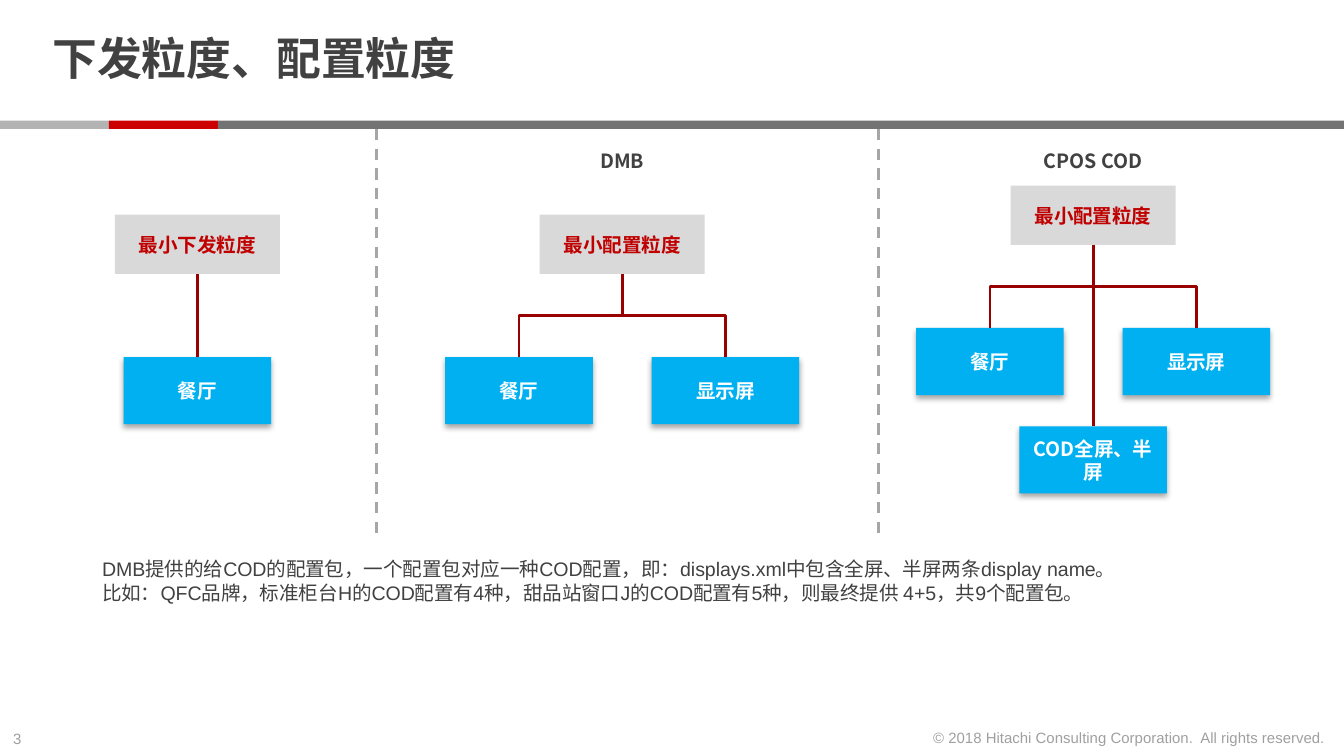
"""Build the slide on delivery and configuration granularity."""
import pptx
import pptx.util
import pptx.dml.color
import pptx.enum.dml
import pptx.enum.shapes
import pptx.enum.text
import pptx.oxml
import pptx.oxml.ns

Cm, Pt = pptx.util.Cm, pptx.util.Pt
qn = pptx.oxml.ns.qn
ALIGN = pptx.enum.text.PP_ALIGN
ANCHOR = pptx.enum.text.MSO_ANCHOR
KIND = pptx.enum.shapes.MSO_CONNECTOR
NS = 'xmlns:a="http://schemas.openxmlformats.org/drawingml/2006/main"'
CJK = "Noto Sans CJK SC"
INK, RED, GREY, BLUE = "414141", "990000", "D9D9D9", "00B0F0"

TITLE = "下发粒度、配置粒度"
NOTES = [
    "DMB提供的给COD的配置包，一个配置包对应一种COD配置，即：displays.xml中包含全屏、半屏两条display name。",
    "比如：QFC品牌，标准柜台H的COD配置有4种，甜品站窗口J的COD配置有5种，则最终提供 4+5，共9个配置包。",
]
RIGHTS = "© 2018 Hitachi Consulting Corporation.  All rights reserved."
BARS = [(0, 2.06, "B3B3B3"), (2.06, 2.06, "CC0000"), (4.12, 21.28, "737373")]
RULES = [7.11, 16.61]

SIDE, NEAR, FAR = 1.95, 2.69, 4.55
PAIR = [("餐厅", -SIDE, NEAR), ("显示屏", SIDE, NEAR)]
TREES = [
    {"mid": 3.73, "top": 4.06, "head": "", "root": "最小下发粒度",
     "kids": [("餐厅", 0, NEAR)]},
    {"mid": 11.76, "top": 4.06, "head": "DMB", "root": "最小配置粒度",
     "kids": PAIR},
    {"mid": 20.66, "top": 3.51, "head": "CPOS COD", "root": "最小配置粒度",
     "kids": PAIR + [("COD全屏、半屏", 0, FAR)]},
]
ROOT, KID = (3.12, 1.12), (2.79, 1.27)


def tint(text):
    return pptx.dml.color.RGBColor.from_string(text)


def write(shape, text, size, color, font=CJK, bold=False, align=ALIGN.LEFT):
    frame = shape.text_frame
    frame.text = text
    frame.word_wrap = True
    for para in frame.paragraphs:
        para.alignment = align
        for run in para.runs:
            run.font.size, run.font.bold = Pt(size), bold
            run.font.name = font
            run.font.color.rgb = tint(color)
            mark = pptx.oxml.parse_xml(f'<a:ea {NS} typeface="{CJK}"/>')
            run.font._element.find(qn("a:latin")).addnext(mark)
    return frame


def label(slide, box, text, size, **style):
    shape = slide.shapes.add_textbox(*map(Cm, box))
    return write(shape, text, size, INK, **style)


def fade(frame):
    for node in frame._txBody.iter(qn("a:srgbClr")):
        node.append(pptx.oxml.parse_xml(f'<a:alpha {NS} val="50000"/>'))
    frame.word_wrap = False


def block(slide, box, color):
    kind = pptx.enum.shapes.MSO_SHAPE.RECTANGLE
    shape = slide.shapes.add_shape(kind, *map(Cm, box))
    shape.shadow.inherit = False
    shape.fill.solid()
    shape.fill.fore_color.rgb = tint(color)
    shape.line.fill.background()
    return shape


def node(slide, mid, top, size, text, color, ink):
    wide, high = size
    shape = block(slide, (mid - wide / 2, top, wide, high), color)
    frame = write(shape, text, 10.5, ink, bold=True, align=ALIGN.CENTER)
    frame.vertical_anchor = ANCHOR.MIDDLE
    return shape


def shade(shape):
    shape._element.spPr.find(qn("a:effectLst")).append(pptx.oxml.parse_xml(
        f'<a:outerShdw {NS} blurRad="40000" dist="23000" dir="5400000" '
        'rotWithShape="0"><a:srgbClr val="000000"><a:alpha val="35000"/>'
        '</a:srgbClr></a:outerShdw>'))


def wire(slide, kind, ends, color):
    line = slide.shapes.add_connector(kind, *map(Cm, ends))
    line.line.width = Pt(1.5)
    line.line.color.rgb = tint(color)
    line._element.spPr.append(pptx.oxml.parse_xml(f"<a:effectLst {NS}/>"))
    return line


def join(slide, root, kid, mid, top, shift, drop):
    kind = KIND.ELBOW if shift else KIND.STRAIGHT
    foot = top + ROOT[1]
    tall = drop - ROOT[1]
    line = wire(slide, kind, (mid, foot, mid + shift, foot + tall), RED)
    line.begin_connect(root, 2)
    line.end_connect(kid, 0)
    if shift:
        line.left = Cm(mid + shift / 2 - tall / 2)
        line.top = Cm(foot + tall / 2 - abs(shift) / 2)
        line.width, line.height = Cm(tall), Cm(abs(shift))
        form = line._element.spPr.find(qn("a:xfrm"))
        form.set("rot", "5400000" if shift < 0 else "16200000")
        form.set("flipH", "0" if shift < 0 else "1")
        form.set("flipV", "0")


def tree(slide, mid, top, head, root, kids):
    if head:
        label(slide, (mid - ROOT[0] / 2, 2.7, ROOT[0], 0.71), head, 10.5,
              bold=True, align=ALIGN.CENTER)
    base = node(slide, mid, top, ROOT, root, GREY, "C00000")
    for text, shift, drop in kids:
        kid = node(slide, mid + shift, top + drop, KID, text, BLUE, "FFFFFF")
        shade(kid)
        join(slide, base, kid, mid, top, shift, drop)


def main():
    deck = pptx.Presentation()
    deck.slide_width, deck.slide_height = Cm(25.4), Cm(14.29)
    slide = deck.slides.add_slide(deck.slide_layouts[6])
    for left, wide, color in BARS:
        block(slide, (left, 2.28, wide, 0.16), color)
    title = label(slide, (0.74, 0.15, 19.58, 2.03), TITLE, 24,
                  font="Arial", bold=True)
    title.vertical_anchor = ANCHOR.MIDDLE
    title.margin_top = title.margin_bottom = 0
    title.paragraphs[0].line_spacing = 0.85
    for x in RULES:
        rule = wire(slide, KIND.STRAIGHT, (x, 2.44, x, 10.11), "A6A6A6")
        rule.line.dash_style = pptx.enum.dml.MSO_LINE.DASH
    for part in TREES:
        tree(slide, **part)
    label(slide, (1.68, 10.41, 22.05, 1.14), "\n".join(NOTES), 10.5,
          font="Arial")
    fade(label(slide, (0, 13.66, 0.86, 0.61), "3", 8, font="Arial"))
    fade(label(slide, (17.27, 13.64, 8.03, 0.61), RIGHTS, 8,
               font="Arial", align=ALIGN.RIGHT))
    deck.save("out.pptx")


if __name__ == "__main__":
    main()
